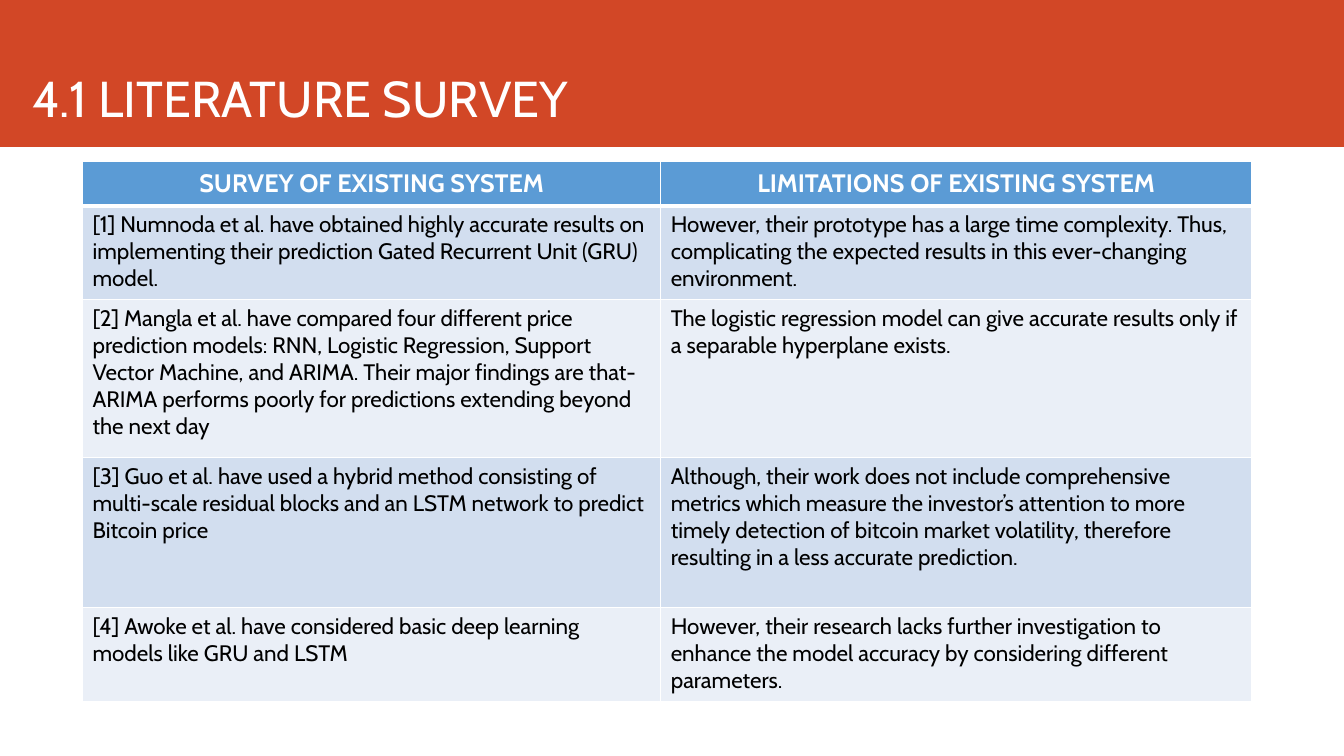
from lxml import etree
from pptx import Presentation
from pptx.dml.color import RGBColor
from pptx.enum.shapes import MSO_SHAPE
from pptx.enum.text import MSO_ANCHOR, PP_ALIGN
from pptx.oxml.ns import qn
from pptx.util import Pt

RECTANGLE = MSO_SHAPE.RECTANGLE
TOP, MIDDLE, BOTTOM = MSO_ANCHOR.TOP, MSO_ANCHOR.MIDDLE, MSO_ANCHOR.BOTTOM
LEFT, CENTER = PP_ALIGN.LEFT, PP_ALIGN.CENTER

FONT = "Cabin"
WHITE, BLACK = "FFFFFF", "000000"
BANNER_RED = "D24726"
HEADER_BLUE = "5B9BD5"
BAND_FILLS = ("D2DEEF", "EAEFF7")

SLIDE_WIDTH, SLIDE_HEIGHT = 960, 540
COLUMN_WIDTHS = (413, 422)
ROW_HEIGHTS = (31.6, 67, 113, 107.2, 67)

HEADINGS = ("SURVEY OF EXISTING SYSTEM", "LIMITATIONS OF EXISTING SYSTEM")
STUDIES = (
    ("[1] Numnoda et al. have obtained highly accurate results on implementing "
     "their prediction Gated Recurrent Unit (GRU) model.",
     "However, their prototype has a large time complexity. Thus, complicating "
     "the expected results in this ever-changing environment."),
    ("[2] Mangla et al. have compared four different price prediction models: "
     "RNN, Logistic Regression, Support Vector Machine, and ARIMA. Their major "
     "findings are that- ARIMA performs poorly for predictions extending beyond "
     "the next day",
     "The logistic regression model can give accurate results only if a "
     "separable hyperplane exists."),
    ("[3] Guo et al. have used a hybrid method consisting of multi-scale "
     "residual blocks and an LSTM network to predict Bitcoin price",
     "Although, their work does not include comprehensive metrics which measure "
     "the investor’s attention to more timely detection of bitcoin market "
     "volatility, therefore resulting in a less accurate prediction."),
    ("[4] Awoke et al. have considered basic deep learning models like GRU and "
     "LSTM",
     "However, their research lacks further investigation to enhance the model "
     "accuracy by considering different parameters."),
)


def color(value):
    return RGBColor.from_string(value)


def add_run(paragraph, text, size, text_color, bold=False):
    run = paragraph.add_run()
    run.text = text
    run.font.name = FONT
    run.font.size = Pt(size)
    run.font.bold = bold
    run.font.color.rgb = color(text_color)


def add_banner(slide, height):
    banner = slide.shapes.add_shape(RECTANGLE, 0, 0, Pt(SLIDE_WIDTH), Pt(height))
    banner.shadow.inherit = False
    banner.fill.solid()
    banner.fill.fore_color.rgb = color(BANNER_RED)
    banner.line.fill.background()


def add_title(slide, text):
    box = slide.shapes.add_textbox(Pt(16), 0, Pt(847), Pt(95))
    frame = box.text_frame
    frame.word_wrap = True
    frame.vertical_anchor = BOTTOM
    paragraph = frame.paragraphs[0]
    paragraph.line_spacing = 0.9
    add_run(paragraph, text, 36, WHITE)


def set_borders(cell, top=1, bottom=1):
    """Draw white cell borders; call before filling, as lines precede the fill."""
    properties = cell._tc.get_or_add_tcPr()
    for side, width in (("L", 1), ("R", 1), ("T", top), ("B", bottom)):
        line = etree.SubElement(properties, qn(f"a:ln{side}"), w=str(Pt(width)))
        fill = etree.SubElement(line, qn("a:solidFill"))
        etree.SubElement(fill, qn("a:srgbClr"), val=WHITE)


def fill_cell(cell, text, row_index):
    is_header = row_index == 0
    set_borders(cell, top=3 if row_index == 1 else 1, bottom=3 if is_header else 1)
    cell.fill.solid()
    cell.fill.fore_color.rgb = color(
        HEADER_BLUE if is_header else BAND_FILLS[(row_index - 1) % 2])
    cell.vertical_anchor = MIDDLE if is_header else TOP
    paragraph = cell.text_frame.paragraphs[0]
    paragraph.alignment = CENTER if is_header else LEFT
    if is_header:
        add_run(paragraph, text, 18, WHITE, bold=True)
    else:
        add_run(paragraph, text, 16, BLACK)


def add_survey_table(slide, left, top):
    rows = (HEADINGS, *STUDIES)
    table = slide.shapes.add_table(
        len(rows), len(HEADINGS), Pt(left), Pt(top),
        Pt(sum(COLUMN_WIDTHS)), Pt(sum(ROW_HEIGHTS))).table
    for column, width in zip(table.columns, COLUMN_WIDTHS):
        column.width = Pt(width)
    for row_index, texts in enumerate(rows):
        table.rows[row_index].height = Pt(ROW_HEIGHTS[row_index])
        for column_index, text in enumerate(texts):
            fill_cell(table.cell(row_index, column_index), text, row_index)


def main():
    presentation = Presentation()
    presentation.slide_width = Pt(SLIDE_WIDTH)
    presentation.slide_height = Pt(SLIDE_HEIGHT)
    slide = presentation.slides.add_slide(presentation.slide_layouts[6])
    add_banner(slide, 105)
    add_title(slide, "4.1 LITERATURE SURVEY")
    add_survey_table(slide, 59, 115.4)
    presentation.save("out.pptx")


if __name__ == "__main__":
    main()
